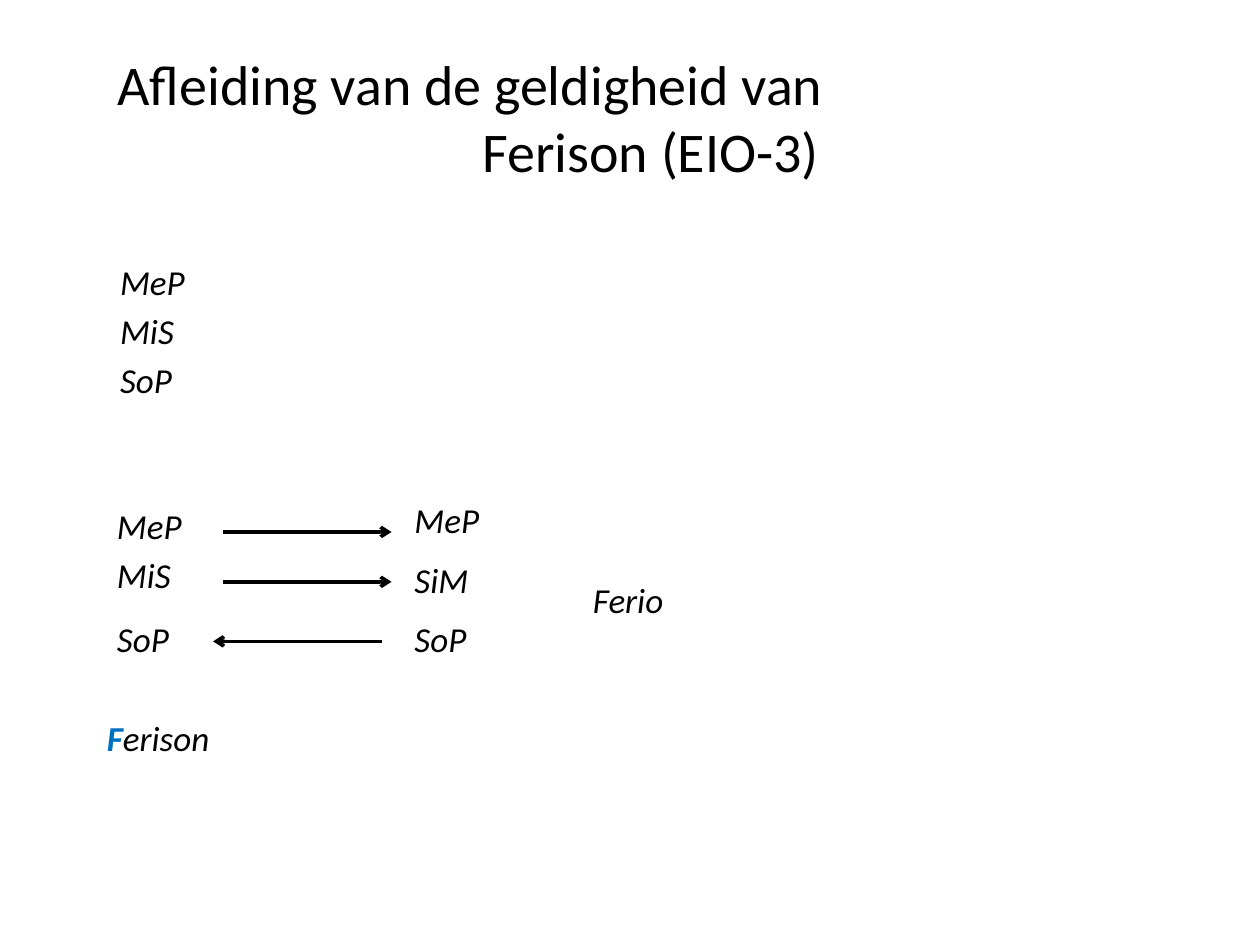
from lxml import etree
from pptx import Presentation
from pptx.dml.color import RGBColor
from pptx.enum import shapes, text
from pptx.oxml import ns
from pptx.util import Pt

BLACK = RGBColor(0x00, 0x00, 0x00)
BLUE = RGBColor(0x00, 0x70, 0xC0)


def style(font, size, color=BLACK, **extra):
    """Set the typeface, size, colour and any further font values."""
    for name, value in {"name": "Calibri", "size": Pt(size), **extra}.items():
        setattr(font, name, value)
    font.color.rgb = color


def add_lines(page, lines, left, top, width, height):
    """Add an italic text box with one paragraph for each line."""
    box = page.shapes.add_textbox(Pt(left), Pt(top), Pt(width), Pt(height))
    frame = box.text_frame
    frame.word_wrap = True
    frame.text = "\n".join(lines)
    for index, para in enumerate(frame.paragraphs):
        para.space_before = Pt(4 if index else 0)
        style(para.runs[0].font, 20, italic=True)
    return box


def add_arrow(page, start, end, y):
    """Add a horizontal arrow pointing from start to end."""
    arrow = page.shapes.add_connector(
        shapes.MSO_CONNECTOR.STRAIGHT, Pt(start), Pt(y), Pt(end), Pt(y))
    arrow.line.width = Pt(2)
    arrow.line.color.rgb = BLACK
    etree.SubElement(arrow.line._get_or_add_ln(), ns.qn("a:tailEnd"), type="arrow")
    etree.SubElement(arrow._element.spPr, ns.qn("a:effectLst"))


def add_title(page, left, top, width, height):
    """Place the title with its first line indented and its second centred."""
    title = page.shapes.title
    bounds = {"left": left, "top": top, "width": width, "height": height}
    for name, value in bounds.items():
        setattr(title, name, Pt(value))
    frame = title.text_frame
    frame.vertical_anchor = text.MSO_ANCHOR.MIDDLE
    frame.text = "Afleiding van de geldigheid van\nFerison (EIO-3)"
    first, second = frame.paragraphs
    first.alignment = text.PP_ALIGN.LEFT
    first._p.get_or_add_pPr().set("marL", str(Pt(24)))
    second.alignment = text.PP_ALIGN.CENTER
    for para in frame.paragraphs:
        para.space_before = Pt(0)
        style(para.runs[0].font, 32)


def add_reduction(page, left, top):
    """Place the reduction of Ferison to Ferio, with arrows between the moods."""
    right = left + 170
    add_lines(page, ["MeP", "MiS"], left, top + 3, 63, 59)
    add_lines(page, ["SoP"], left, top + 68, 63, 34)
    for row, term in enumerate(["MeP", "SiM", "SoP"]):
        add_lines(page, [term], right, top + 34 * row, 63, 34)
    add_lines(page, ["Ferio"], left + 272, top + 45.5, 148, 40)
    for start, end, drop in [(67.5, 164, 22.5), (67.5, 164, 51), (158.5, 62, 85)]:
        add_arrow(page, left + start, left + end, top + drop)


def add_mood_name(page, left, top):
    """Place the name of the mood with its first letter highlighted."""
    box = add_lines(page, ["F"], left, top, 148, 40)
    para = box.text_frame.paragraphs[0]
    style(para.runs[0].font, 20, BLUE, italic=True, bold=True)
    span = para.add_run()
    span.text = "erison"
    style(span.font, 20, italic=True)


def main():
    """Build the slide and save the deck."""
    deck = Presentation()
    deck.slide_width, deck.slide_height = Pt(720), Pt(540)
    page = deck.slides.add_slide(deck.slide_layouts[5])
    add_title(page, 36, 21.6, 648, 90)
    add_lines(page, ["MeP", "MiS", "SoP"], 61.5, 145.5, 134, 93)
    add_reduction(page, 59.75, 281.5)
    add_mood_name(page, 54, 406)
    deck.save("out.pptx")


if __name__ == "__main__":
    main()
